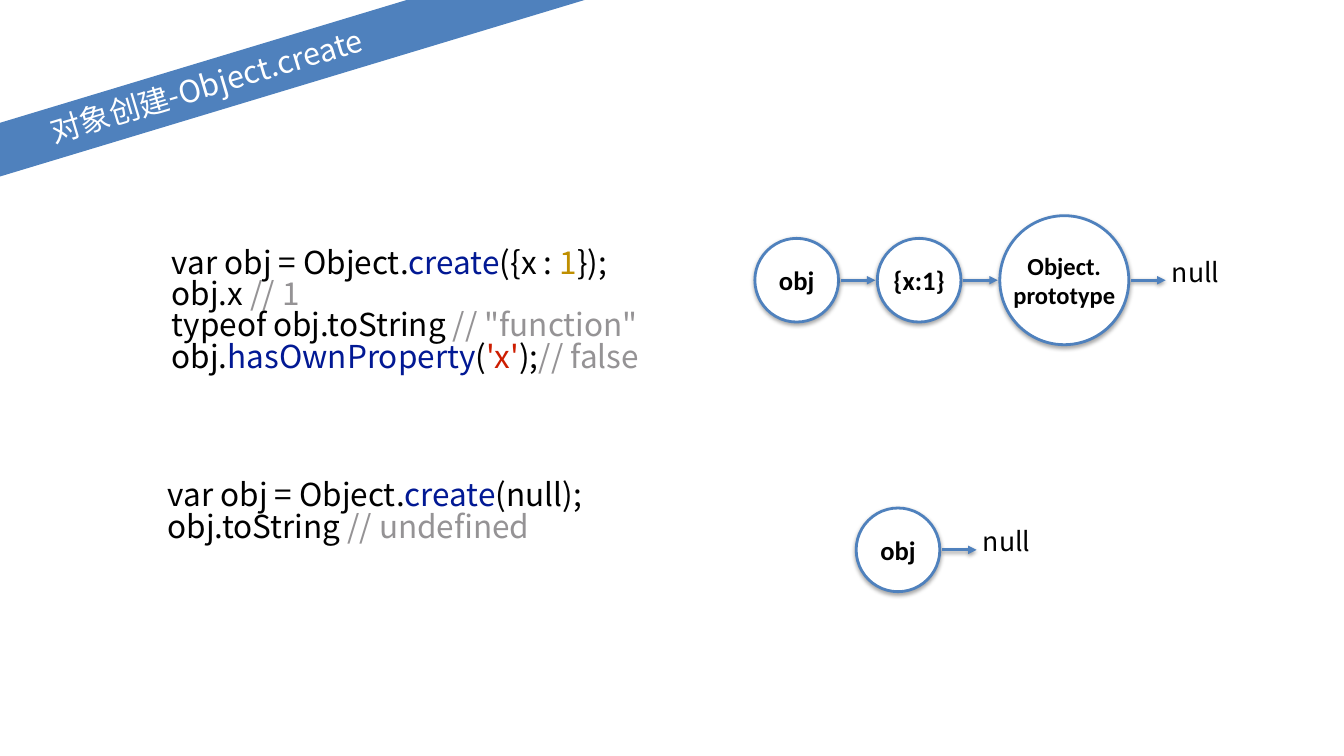
from lxml import etree
from pptx import Presentation
from pptx.dml.color import RGBColor
from pptx.enum.shapes import MSO_CONNECTOR, MSO_SHAPE
from pptx.enum.text import MSO_ANCHOR, MSO_AUTO_SIZE, PP_ALIGN
from pptx.oxml.ns import qn
from pptx.util import Emu, Pt

PX = 9144
TITLE_ONLY = 5
STRAIGHT, OVAL = MSO_CONNECTOR.STRAIGHT, MSO_SHAPE.OVAL
TOP, MIDDLE = MSO_ANCHOR.TOP, MSO_ANCHOR.MIDDLE
LEFT, CENTER = PP_ALIGN.LEFT, PP_ALIGN.CENTER
NO_FIT = MSO_AUTO_SIZE.NONE

WHITE = RGBColor(0xFF, 0xFF, 0xFF)
BLACK = RGBColor(0x00, 0x00, 0x00)
BLUE = RGBColor(0x4F, 0x81, 0xBD)
METHOD = RGBColor(0x02, 0x19, 0x94)
NUMBER = RGBColor(0xBF, 0x8F, 0x00)
STRING = RGBColor(0xCD, 0x1D, 0x00)
COMMENT = RGBColor(0x95, 0x93, 0x95)

SANS, LABEL = "Noto Sans CJK SC", "Calibri"
NODE, BIG_NODE, GAP = 166, 256, 77

CREATE_FROM_OBJECT = [
    [("var obj = Object.", BLACK), ("create", METHOD), ("({x : ", BLACK),
     ("1", NUMBER), ("});", BLACK)],
    [("obj.x ", BLACK), ("// 1", COMMENT)],
    [("typeof obj.toString ", BLACK), ('// "function"', COMMENT)],
    [("obj.", BLACK), ("hasOwnProperty", METHOD), ("(", BLACK),
     ("'x'", STRING), (");", BLACK), ("// false", COMMENT)],
]
CREATE_FROM_NULL = [
    [("var obj = Object.", BLACK), ("create", METHOD), ("(null);", BLACK)],
    [("obj.toString ", BLACK), ("// undefined", COMMENT)],
]


class Deck:
    """Holds the style and the current slide, and draws each kind of element."""

    def __init__(self, prs):
        self.slide = prs.slides.add_slide(prs.slide_layouts[TITLE_ONLY])

    def box(self, *lengths):
        return [Emu(n * PX) for n in lengths]

    def font(self, r, name, size, color, bold=False):
        r.font.name, r.font.size, r.font.bold = name, Pt(size), bold
        r.font.color.rgb = color
        ea = etree.SubElement(r._r.get_or_add_rPr(), qn("a:ea"))
        ea.set("typeface", name)

    def frame(self, sp, anchor, inset, wrap=True):
        tf = sp.text_frame
        tf.auto_size, tf.word_wrap, tf.vertical_anchor = NO_FIT, wrap, anchor
        tf.margin_left = tf.margin_right = Emu(inset * PX)
        tf.margin_top = tf.margin_bottom = Emu(inset * PX)
        return tf

    def line(self, p, text, align, name, size, color, bold=False, spacing=1.0):
        p.text = text
        p.alignment, p.line_spacing = align, spacing
        for r in p.runs:
            self.font(r, name, size, color, bold)

    def shadow(self, sp, opacity):
        effects = etree.SubElement(sp._element.spPr, qn("a:effectLst"))
        outer = etree.SubElement(effects, qn("a:outerShdw"), blurRad=str(Pt(6)),
                                 dist=str(Pt(3)), dir="5400000", rotWithShape="0")
        color = etree.SubElement(outer, qn("a:srgbClr"), val=str(BLACK))
        etree.SubElement(color, qn("a:alpha"), val=str(opacity * 1000))

    def title(self, text, x, y, w, h, rotation):
        sp = self.slide.shapes.title
        sp.left, sp.top, sp.width, sp.height = self.box(x, y, w, h)
        sp.rotation = rotation
        sp.fill.solid()
        sp.fill.fore_color.rgb = BLUE
        tf = self.frame(sp, MIDDLE, 0)
        self.line(tf.paragraphs[0], text, CENTER, SANS, 43.8, WHITE, spacing=0.9)

    def node(self, text, x, cy, d, size):
        sp = self.slide.shapes.add_shape(OVAL, *self.box(x, cy - d // 2, d, d))
        sp.fill.solid()
        sp.fill.fore_color.rgb = WHITE
        sp.line.color.rgb, sp.line.width = BLUE, Pt(4)
        self.shadow(sp, 35)
        tf = self.frame(sp, MIDDLE, 0, wrap=False)
        self.line(tf.paragraphs[0], text, CENTER, LABEL, size, BLACK, bold=True)

    def arrow(self, x1, x2, y):
        sp = self.slide.shapes.add_connector(STRAIGHT, *self.box(x1, y, x2, y))
        sp.line.color.rgb, sp.line.width = BLUE, Pt(4)
        ln = sp._element.spPr.find(qn("a:ln"))
        etree.SubElement(ln, qn("a:tailEnd"), type="triangle")
        self.shadow(sp, 38)

    def label(self, text, x, y):
        sp = self.slide.shapes.add_textbox(*self.box(x, y, 115, 89))
        tf = self.frame(sp, TOP, 10, wrap=False)
        self.line(tf.paragraphs[0], text, CENTER, SANS, 38, BLACK, spacing=0.77)

    def code(self, lines, x, y, w, h):
        sp = self.slide.shapes.add_textbox(*self.box(x, y, w, h))
        tf = self.frame(sp, TOP, 10)
        for i, line in enumerate(lines):
            p = tf.add_paragraph() if i else tf.paragraphs[0]
            p.alignment, p.line_spacing = LEFT, 0.83
            for text, color in line:
                r = p.add_run()
                r.text = text
                self.font(r, SANS, 45, color)

    def chain(self, nodes, x, cy):
        for text, d, size in nodes:
            self.node(text, x, cy, d, size)
            x += d + GAP
            self.arrow(x - GAP + 4, x - 4, cy)
        self.label("null", x - 2, cy - 45)


def main():
    prs = Presentation()
    prs.slide_width, prs.slide_height = Emu(2667 * PX), Emu(1500 * PX)
    deck = Deck(prs)
    deck.title("对象创建-Object.create", -499, 122, 1819, 102, 343.2)
    deck.chain([("obj", NODE, 38), ("{x:1}", NODE, 38),
                ("Object.\vprototype", BIG_NODE, 35)], 1498, 556)
    deck.chain([("obj", NODE, 38)], 1699, 1091)
    deck.code(CREATE_FROM_OBJECT, 331, 484, 990, 437)
    deck.code(CREATE_FROM_NULL, 323, 946, 890, 187)
    prs.save("out.pptx")


if __name__ == "__main__":
    main()
